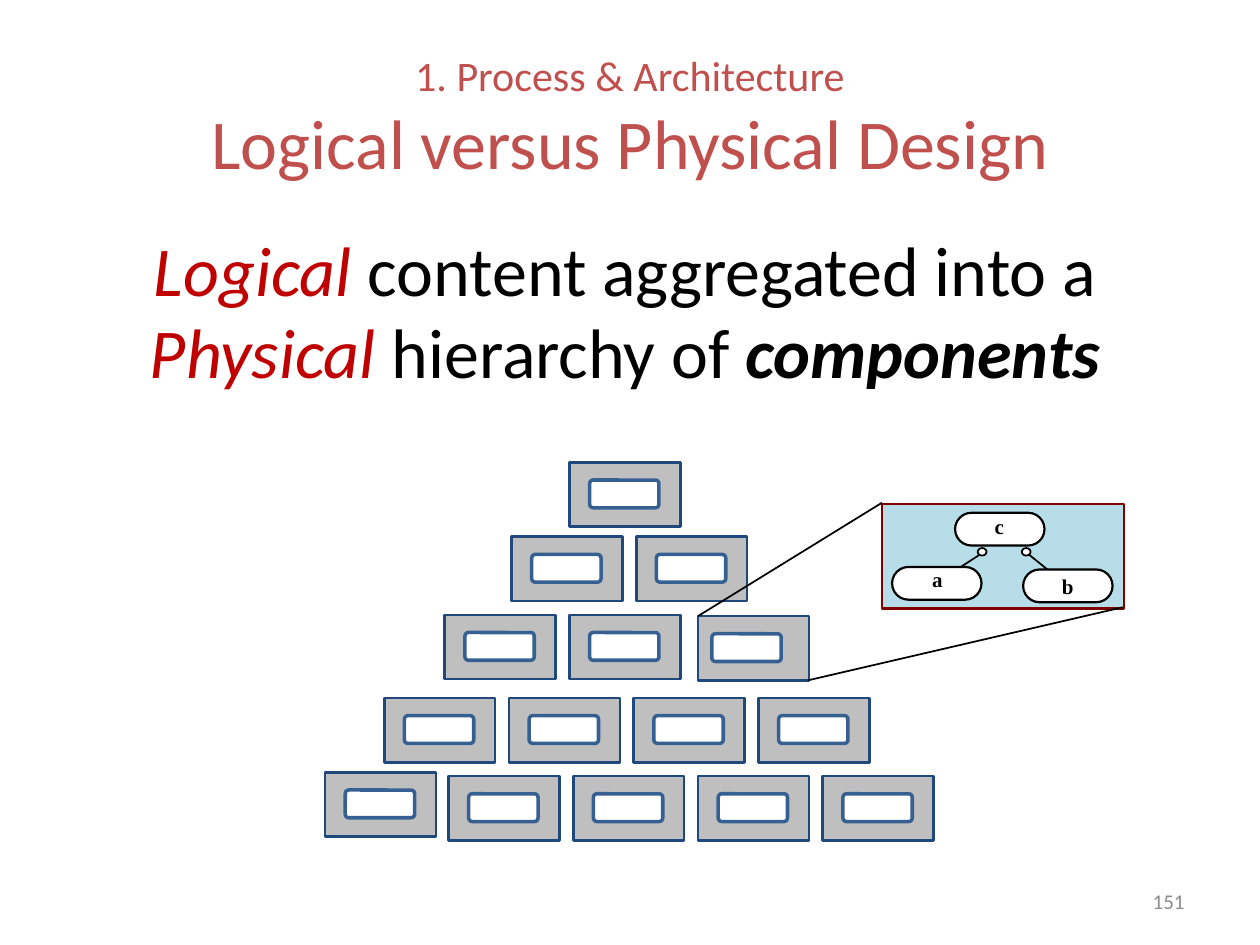
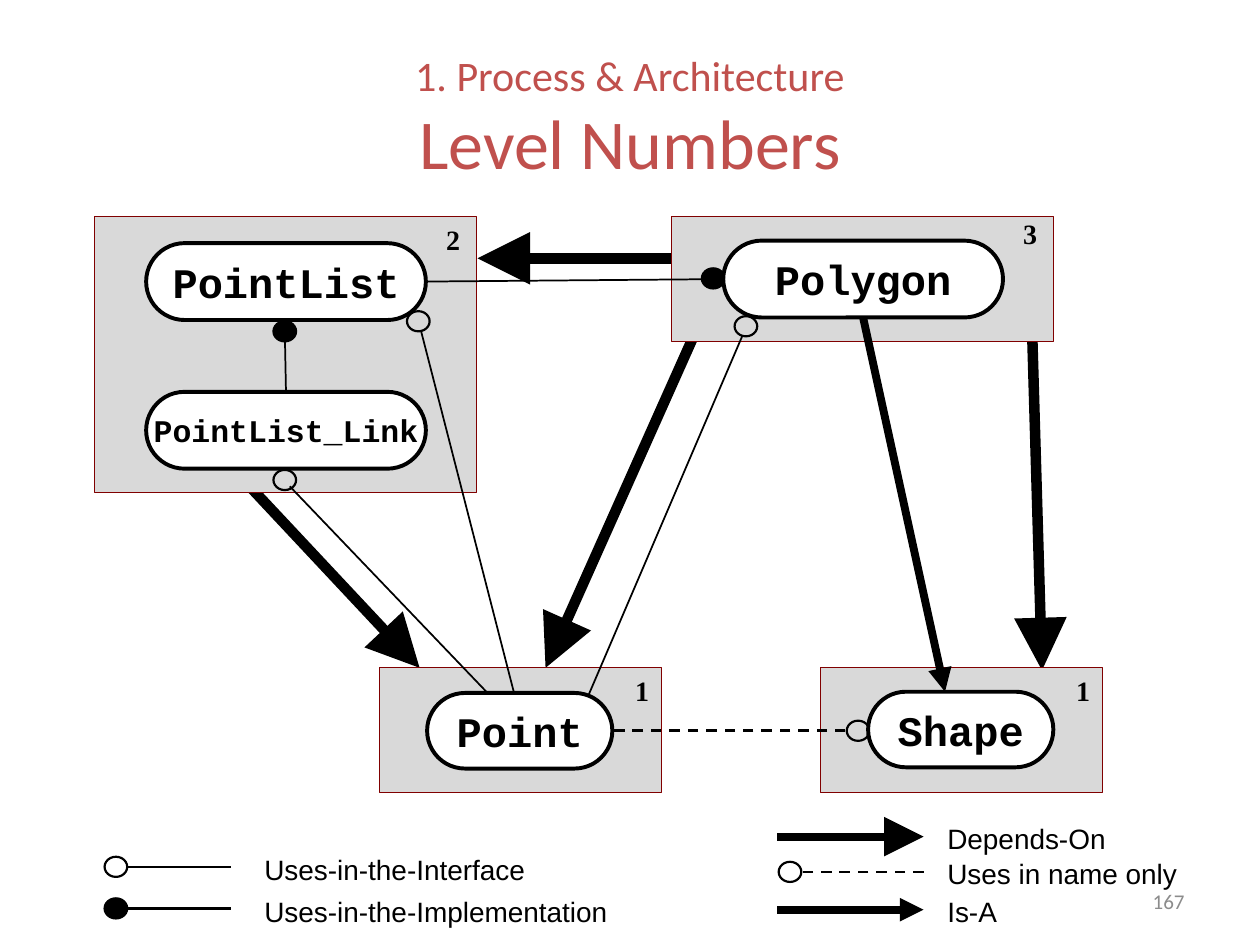
from lxml import etree
from pptx import Presentation
from pptx import util as u
from pptx.dml.color import RGBColor
from pptx.enum import dml, shapes, text
from pptx.oxml import ns

BLACK = RGBColor(0x00, 0x00, 0x00)
WHITE = RGBColor(0xFF, 0xFF, 0xFF)
TITLE_RED = RGBColor(0xC0, 0x50, 0x4D)
TERM_RED = RGBColor(0xC0, 0x00, 0x00)
MAROON = RGBColor(0x80, 0x00, 0x00)
SKY = RGBColor(0xB7, 0xDE, 0xE8)
SILVER = RGBColor(0xBF, 0xBF, 0xBF)
PALE_GRAY = RGBColor(0xD9, 0xD9, 0xD9)
NAVY = RGBColor(0x1F, 0x49, 0x7D)
STEEL = RGBColor(0x37, 0x60, 0x92)
NUMBER_GRAY = RGBColor(0x8C, 0x8C, 0x8C)

COLUMNS, ROWS = 10, 7.5
RECT = shapes.MSO_SHAPE.RECTANGLE
ROUNDED = shapes.MSO_SHAPE.ROUNDED_RECTANGLE
OVAL = shapes.MSO_SHAPE.OVAL
LEFT, CENTER, RIGHT = text.PP_ALIGN.LEFT, text.PP_ALIGN.CENTER, text.PP_ALIGN.RIGHT
TOP, MIDDLE = text.MSO_ANCHOR.TOP, text.MSO_ANCHOR.MIDDLE
TOP_SIDE, LEFT_SIDE, BOTTOM_SIDE, RIGHT_SIDE = range(4)

HEADING = dict(name="Calibri", size=u.Pt(40))
CHAPTER = dict(name="Calibri", size=u.Pt(24))
TERM = dict(HEADING, italic=True)
STRONG_TERM = dict(TERM, bold=True)
PAGE_NUMBER = dict(name="Calibri", size=u.Pt(12))
SMALL_LETTER = dict(name="Times New Roman", size=u.Pt(12), bold=True)
LEVEL_NUMBER = dict(SMALL_LETTER, size=u.Pt(16))
CLASS_NAME = dict(name="Courier New", size=u.Pt(24), bold=True)
LONG_CLASS_NAME = dict(CLASS_NAME, size=u.Pt(18))
LEGEND = dict(name="Arial", size=u.Pt(16))


def assign(target, values):
    for name, value in values.items():
        setattr(target, name, value)


class Deck:
    def __init__(self):
        self.prs = Presentation()
        assign(self.prs, dict(slide_width=u.Inches(10), slide_height=u.Inches(7.5)))
        self.column = self.prs.slide_width / COLUMNS
        self.row = self.prs.slide_height / ROWS
        self.slide = None

    def x(self, columns):
        return round(columns * self.column)

    def y(self, rows):
        return round(rows * self.row)

    def place(self, left, top, width, height):
        return self.x(left), self.y(top), self.x(width), self.y(height)

    def move(self, shape, *at):
        assign(shape, dict(zip(("left", "top", "width", "height"), self.place(*at))))

    def start(self, layout, heading, number):
        self.slide = self.prs.slides.add_slide(self.prs.slide_layouts[layout])
        title = self.slide.shapes.title
        self.move(title, 0.5, 0.3, 9, 1.25)
        assign(title.text_frame, dict(word_wrap=False, vertical_anchor=MIDDLE))
        paragraph = title.text_frame.paragraphs[0]
        paragraph.alignment = CENTER
        self.run(paragraph, "1. Process & Architecture", CHAPTER, TITLE_RED)
        paragraph.add_line_break()
        self.run(paragraph, heading, HEADING, TITLE_RED)
        self.label(number, (7.17, 6.95, 2.33, 0.4), PAGE_NUMBER, RIGHT, MIDDLE, NUMBER_GRAY)

    def run(self, paragraph, words, style, color=BLACK):
        run = paragraph.add_run()
        run.text = words
        assign(run.font, style)
        run.font.color.rgb = color

    def body(self, at, lines):
        body = self.slide.placeholders[1]
        self.move(body, *at)
        body.fill.solid()
        body.fill.fore_color.rgb = WHITE
        frame = body.text_frame
        frame.auto_size = text.MSO_AUTO_SIZE.NONE
        for index, runs in enumerate(lines):
            paragraph = frame.add_paragraph() if index else frame.paragraphs[0]
            properties = paragraph._p.get_or_add_pPr()
            assign_xml = dict(marL="0", indent="0")
            for name, value in assign_xml.items():
                properties.set(name, value)
            etree.SubElement(properties, ns.qn("a:buNone"))
            assign(paragraph, dict(alignment=CENTER, line_spacing=0.8,
                                   space_before=u.Pt(8 if index else 0)))
            for words, style, color in runs:
                self.run(paragraph, words, style, color)

    def label(self, words, at, style, align=CENTER, anchor=TOP, color=BLACK):
        frame = self.slide.shapes.add_textbox(*self.place(*at)).text_frame
        assign(frame, dict(word_wrap=align != CENTER, vertical_anchor=anchor))
        frame.paragraphs[0].alignment = align
        self.run(frame.paragraphs[0], words, style, color)

    def shape(self, kind, at, fill, border, weight, round_by=None):
        shape = self.slide.shapes.add_shape(kind, *self.place(*at))
        shape.shadow.inherit = False
        if fill is None:
            shape.fill.background()
        else:
            shape.fill.solid()
            shape.fill.fore_color.rgb = fill
        shape.line.color.rgb = border
        shape.line.width = u.Pt(weight)
        if round_by is not None:
            shape.adjustments[0] = round_by
        return shape

    def node(self, words, at, style=CLASS_NAME):
        node = self.shape(ROUNDED, at, WHITE, BLACK, 2.25, 0.5)
        assign(node.text_frame, dict(word_wrap=False, vertical_anchor=MIDDLE))
        node.text_frame.paragraphs[0].alignment = CENTER
        self.run(node.text_frame.paragraphs[0], words, style)
        return node

    def dot(self, left, top, fill=None):
        self.shape(OVAL, (left, top, 0.18, 0.16), fill, BLACK, 1.25)

    def line(self, start, end, weight=1, head=None, dashed=False, begin=None, finish=None):
        line = self.slide.shapes.add_connector(
            shapes.MSO_CONNECTOR.STRAIGHT,
            self.x(start[0]), self.y(start[1]), self.x(end[0]), self.y(end[1]))
        if begin:
            line.begin_connect(*begin)
        if finish:
            line.end_connect(*finish)
        line.line.color.rgb = BLACK
        line.line.width = u.Pt(weight)
        if dashed:
            line.line.dash_style = dml.MSO_LINE.DASH
        if head:
            etree.SubElement(line.line._get_or_add_ln(), ns.qn("a:tailEnd"),
                             type="triangle", w=head, len=head)
        etree.SubElement(line._element.spPr, ns.qn("a:effectLst"))


def build_hierarchy(deck):
    deck.start(1, "Logical versus Physical Design", "151")
    deck.body((0.25, 1.88, 9.42, 5.2), [
        [("Logical", TERM, TERM_RED), (" content aggregated into a", HEADING, BLACK)],
        [("Physical", TERM, TERM_RED), (" hierarchy of ", HEADING, BLACK),
         ("components", STRONG_TERM, BLACK)],
    ])
    deck.shape(RECT, (7, 4, 1.92, 0.83), SKY, MAROON, 1.5)

    component_pitch = 0.99
    levels = [(4.52, 3.67, 1, 0.16), (4.06, 4.26, 2, 0.16), (3.53, 4.88, 2, 0.16),
              (5.54, 4.89, 1, 0.11), (3.05, 5.54, 4, 0.16), (3.56, 6.16, 4, 0.16),
              (2.58, 6.13, 1, 0.16)]
    for first, top, count, inset in levels:
        for index in range(count):
            left = first + index * component_pitch
            deck.shape(RECT, (left, top, 0.88, 0.51), SILVER, NAVY, 1.5)
            deck.shape(ROUNDED, (left + inset, top + 0.14, 0.55, 0.22),
                       WHITE, STEEL, 2, 0.125)

    deck.line((7.44, 4.62), (7.81, 4.38))
    deck.line((8.35, 4.55), (8.14, 4.38))
    for left, top in [(7.08, 4.5), (7.58, 4.07), (8.12, 4.52)]:
        deck.shape(ROUNDED, (left, top, 0.71, 0.26), WHITE, BLACK, 1.25, 0.5)
    for left in (7.76, 8.11):
        deck.shape(OVAL, (left, 4.35, 0.07, 0.06), WHITE, BLACK, 1)
    for letter, left, top in [("a", 7.3, 4.45), ("b", 8.33, 4.5), ("c", 7.79, 4.03)]:
        deck.label(letter, (left, top, 0.28, 0.3), SMALL_LETTER)
    deck.line((7, 3.99), (5.54, 4.89))
    deck.line((8.91, 4.82), (6.41, 5.4))


def build_levels(deck):
    deck.start(5, "Level Numbers", "167")
    dependencies = [((2, 3.88), (3.33, 5.3)), ((5.38, 2.05), (3.79, 2.05)),
                    ((5.58, 2.5), (4.33, 5.3)), ((8.19, 2.57), (8.27, 5.32))]
    for start, end in dependencies:
        deck.line(start, end, 6, "lg")

    packages = [("1", (6.51, 5.3, 2.24, 0.99), (8.44, 5.3)),
                ("1", (3.01, 5.3, 2.24, 0.99), (4.94, 5.3)),
                ("3", (5.33, 1.72, 3.03, 0.99), (8.02, 1.67)),
                ("2", (0.75, 1.72, 3.03, 2.19), (3.44, 1.72))]
    for level, area, corner in packages:
        deck.shape(RECT, area, PALE_GRAY, MAROON, 0.5)
        deck.label(level, (*corner, 0.31, 0.37), LEVEL_NUMBER)

    for left, top in [(2.17, 3.73), (3.23, 2.47), (5.83, 2.51), (6.72, 5.72)]:
        deck.dot(left, top)
    for left, top in [(5.57, 2.13), (2.17, 2.55)]:
        deck.dot(left, top, BLACK)

    shape_class = deck.node("Shape", (6.89, 5.49, 1.47, 0.6))
    point = deck.node("Point", (3.39, 5.5, 1.47, 0.6))
    point_list = deck.node("PointList", (1.16, 1.93, 2.22, 0.61))
    link = deck.node("PointList_Link", (1.16, 3.11, 2.22, 0.61), LONG_CLASS_NAME)
    polygon = deck.node("Polygon", (5.74, 1.91, 2.22, 0.61))

    interface_uses = [((5.89, 2.67), (4.67, 5.52)), ((2.3, 3.86), (3.87, 5.5)),
                      ((3.34, 2.62), (4.08, 5.5))]
    for start, end in interface_uses:
        deck.line(start, end)
    deck.line((5.74, 2.22), (3.38, 2.22),
              begin=(polygon, LEFT_SIDE), finish=(point_list, RIGHT_SIDE))
    deck.line((2.27, 3.11), (2.26, 2.61), begin=(link, TOP_SIDE))
    deck.line((6.85, 2.52), (7.5, 5.49), 4.5, "med", begin=(polygon, BOTTOM_SIDE))
    deck.line((6.71, 5.8), (4.86, 5.8), 1.5, dashed=True, finish=(point, RIGHT_SIDE))

    for words, top, fill in [("Uses-in-the-Interface", 6.72, None),
                             ("Uses-in-the-Implementation", 7.05, BLACK)]:
        deck.dot(0.83, top + 0.08, fill)
        deck.line((1.01, top + 0.16), (1.83, top + 0.16), 1.25)
        deck.label(words, (2, top, 3.5, 0.37), LEGEND, LEFT)
    for words, top, head in [("Depends-On", 6.47, "lg"), ("Is-A", 7.05, "med")]:
        deck.line((6.17, top + 0.17), (7.33, top + 0.17), 4.5, head)
        deck.label(words, (7.42, top, 1.7, 0.37), LEGEND, LEFT)
    deck.dot(6.18, 6.84)
    deck.line((7.33, 6.92), (6.36, 6.92), 1.5, dashed=True)
    deck.label("Uses in name only", (7.42, 6.75, 2.17, 0.37), LEGEND, LEFT)


def main():
    deck = Deck()
    build_hierarchy(deck)
    build_levels(deck)
    deck.prs.save("out.pptx")


if __name__ == "__main__":
    main()
